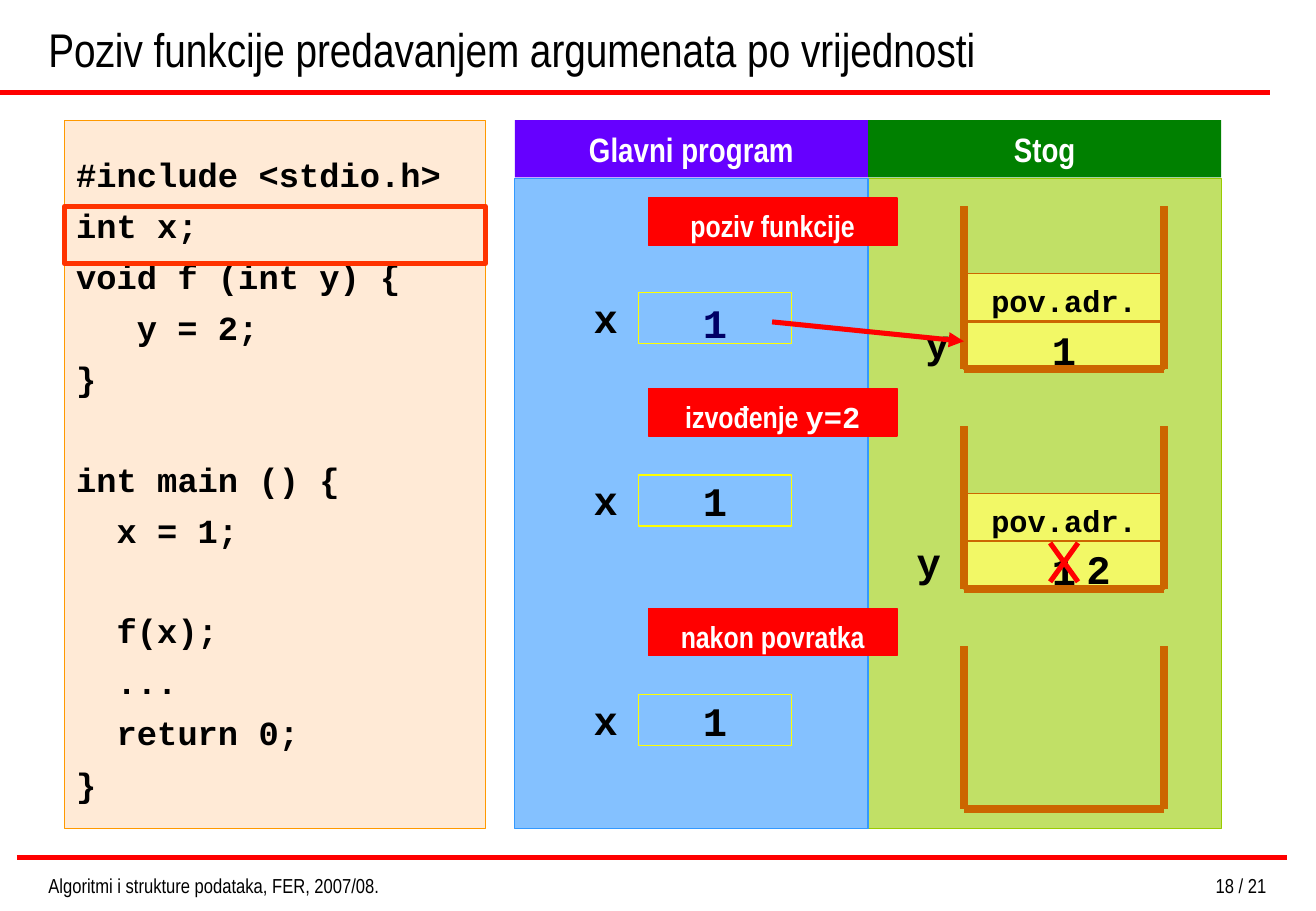
from dataclasses import dataclass

from lxml import etree
from pptx import Presentation
from pptx.dml.color import RGBColor
from pptx.enum.shapes import MSO_CONNECTOR, MSO_SHAPE
from pptx.enum.text import MSO_ANCHOR, PP_ALIGN
from pptx.oxml.ns import qn
from pptx.util import Inches, Pt

RECTANGLE = MSO_SHAPE.RECTANGLE
STRAIGHT = MSO_CONNECTOR.STRAIGHT
LEFT, CENTER, RIGHT = PP_ALIGN.LEFT, PP_ALIGN.CENTER, PP_ALIGN.RIGHT
TOP, MIDDLE, BOTTOM = MSO_ANCHOR.TOP, MSO_ANCHOR.MIDDLE, MSO_ANCHOR.BOTTOM


@dataclass(frozen=True)
class Theme:
    """Fonts, sizes and colours of the slide."""
    sans: str = "Arial Narrow"
    mono: str = "Courier New"
    title: int = 28
    value: int = 24
    body: int = 20
    label: int = 18
    footer: int = 12
    black: str = "000000"
    white: str = "FFFFFF"
    red: str = "FF0000"
    highlight: str = "FF3300"
    code_fill: str = "FFCC99"
    code_line: str = "FF9900"
    program: str = "3399FF"
    program_head: str = "6600FF"
    stack: str = "99CC00"
    stack_head: str = "008000"
    cell: str = "FFFF66"
    wall: str = "CC6600"
    variable: str = "FFFF00"
    navy: str = "000066"


THEME = Theme()

CODE = """#include <stdio.h>
int x;
void f (int y) {
\ty = 2;
}

int main () {
  x = 1;

  f(x);
  ...
  return 0;
}"""

STAGES = [
    dict(label=[("poziv funkcije", THEME.sans)], label_top=1.63,
         variable_top=2.41, color=THEME.navy, shift=0.06, name_left=7.54),
    dict(label=[("izvođenje ", THEME.sans), ("y=2", THEME.mono)],
         label_top=3.2, variable_top=3.91, color=THEME.black, shift=0,
         name_left=7.47),
    dict(label=[("nakon povratka", THEME.sans)], label_top=5.01,
         variable_top=5.72, color=THEME.black, shift=0, name_left=None),
]


def write(shape, spans, size=THEME.body, color=THEME.black, bold=True,
          align=CENTER, anchor=MIDDLE, inset=0.0, shift=0.0, gap=0):
    """Fill a shape with lines of text; spans is a string or (text, font) pairs."""
    frame = shape.text_frame
    frame.word_wrap = True
    frame.vertical_anchor = anchor
    frame.margin_left = frame.margin_right = Inches(inset)
    frame.margin_top = Inches(0.05 + shift)
    frame.margin_bottom = Inches(0.05)
    if isinstance(spans, str):
        spans = [(spans, THEME.mono)]
    para = frame.paragraphs[0]
    para.alignment = align
    for text, font in spans:
        blank = 0
        for index, line in enumerate(text.split("\n")):
            if not line.strip():
                blank += 1
                continue
            if index:
                para = frame.add_paragraph()
                para.alignment = align
                para.space_before = Pt(gap + blank * (gap + size * 1.133))
            blank = 0
            span = para.add_run()
            span.text = line
            span.font.name = font
            span.font.size = Pt(size)
            span.font.bold = bold
            span.font.color.rgb = RGBColor.from_string(color)


def add_text(page, box, spans, **style):
    """Add a text box."""
    write(page.shapes.add_textbox(*map(Inches, box)), spans, **style)


def add_box(page, box, fill=None, opacity=100, line=None, width=0.75):
    """Add a rectangle with optional fill and outline."""
    shape = page.shapes.add_shape(RECTANGLE, *map(Inches, box))
    shape.shadow.inherit = False
    if fill:
        shape.fill.solid()
        shape.fill.fore_color.rgb = RGBColor.from_string(fill)
        if opacity < 100:
            tint = shape.fill._xPr.find(qn("a:solidFill"))[0]
            etree.SubElement(tint, qn("a:alpha")).set("val", str(opacity * 1000))
    else:
        shape.fill.background()
    if line:
        shape.line.color.rgb = RGBColor.from_string(line)
        shape.line.width = Pt(width)
    else:
        shape.line.fill.background()
    return shape


def add_line(page, start, end, color=THEME.red, width=3, arrow=False):
    """Add a straight line, with an arrowhead at its end if asked."""
    line = page.shapes.add_connector(STRAIGHT, *map(Inches, (*start, *end)))
    line.line.color.rgb = RGBColor.from_string(color)
    line.line.width = Pt(width)
    if arrow:
        etree.SubElement(line.line._get_or_add_ln(), qn("a:tailEnd")).set("type", "triangle")
    etree.SubElement(line._element.spPr, qn("a:effectLst"))


def add_frame(page):
    """Add the title, the rules and the footer."""
    add_line(page, (0, 0.76), (10.46, 0.76))
    add_line(page, (0.14, 7.06), (10.6, 7.06))
    plain = dict(bold=False, inset=0.1)
    add_text(page, (0.3, 0, 10.16, 0.68),
             [("Poziv funkcije predavanjem argumenata po vrijednosti", THEME.sans)],
             size=THEME.title, align=LEFT, anchor=BOTTOM, **plain)
    add_text(page, (0.3, 7.14, 3.78, 0.24),
             [("Algoritmi i strukture podataka, FER, 2007/08.", THEME.sans)],
             size=THEME.footer, align=LEFT, anchor=TOP, **plain)
    add_text(page, (7.76, 7.14, 2.77, 0.24), [("18 / 21", THEME.sans)],
             size=THEME.footer, align=RIGHT, anchor=TOP, **plain)


def add_code(page, box):
    """Add the code listing and the highlight around its second line."""
    left, top, width, height = box
    listing = add_box(page, box, THEME.code_fill, 40, THEME.code_line)
    write(listing, CODE, align=LEFT, inset=0.1, shift=0.07, gap=6.35)
    add_box(page, (left, top + 0.71, width, 0.47), line=THEME.highlight, width=3)


def add_column(page, box, heading, head_color, color):
    """Add a column with a heading bar."""
    left, top, width, height = box
    add_box(page, (left, top + 0.48, width, height - 0.48), color, 60, color)
    head = add_box(page, (left, top, width, 0.47), head_color)
    write(head, [(heading, THEME.sans)], color=THEME.white)


def add_variable(page, box, stage):
    """Add the variable x of the main program and the red stage label."""
    left, top, width, height = box
    add_text(page, (left - 0.45, top + 0.04, 0.36, 0.33), "x", size=THEME.value)
    value = add_box(page, box, line=THEME.variable)
    write(value, "1", size=THEME.value, color=stage["color"], shift=stage["shift"])
    label = add_box(page, (left + 0.08, stage["label_top"], 2.05, 0.39),
                    THEME.red, line=THEME.red)
    write(label, stage["label"], size=THEME.label, color=THEME.white, shift=0.06)


def add_stack(page, box, name_left):
    """Add a stack, holding the return address and y when y has a place."""
    left, top, width, height = box
    right, bottom = left + width, top + height
    if name_left is not None:
        cells = (("1", THEME.value, bottom - 0.39), ("pov.adr.", THEME.label, bottom - 0.79))
        for text, size, cell_top in cells:
            cell = add_box(page, (left, cell_top, width, 0.39), THEME.cell, 80, THEME.wall)
            write(cell, text, size=size, shift=0.06)
        add_text(page, (name_left, bottom - 0.39, 0.36, 0.33), "y", size=THEME.value)
    corners = [(left, top), (left, bottom), (right, bottom), (right, top)]
    for start, end in zip(corners, corners[1:]):
        add_line(page, start, end, THEME.wall, 4.5)


def add_change(page, box):
    """Cross out the old value and write the new one beside it."""
    left, top, width, height = box
    right, bottom = left + width, top + height
    add_line(page, (left, bottom), (right, top))
    add_line(page, (left, top), (right, bottom))
    add_text(page, (right - 0.03, top - 0.06, 0.4, 0.5), "2",
             size=THEME.value, shift=0.04)


def main():
    """Build the slide and save it."""
    deck = Presentation()
    deck.slide_width, deck.slide_height = Inches(10.84), Inches(7.5)
    page = deck.slides.add_slide(deck.slide_layouts[6])
    add_frame(page)
    add_column(page, (7.15, 0.99, 2.91, 5.83), "Stog", THEME.stack_head, THEME.stack)
    add_column(page, (4.24, 0.99, 2.91, 5.83), "Glavni program",
               THEME.program_head, THEME.program)
    add_code(page, (0.53, 0.99, 3.47, 5.83))
    for index, stage in enumerate(STAGES):
        add_variable(page, (5.26, stage["variable_top"], 1.26, 0.42), stage)
        add_stack(page, (7.94, 1.7 + 1.81 * index, 1.65, 1.34), stage["name_left"])
    add_line(page, (6.36, 2.65), (7.94, 2.81), arrow=True)
    add_change(page, (8.65, 4.47, 0.23, 0.32))
    deck.save("out.pptx")


if __name__ == "__main__":
    main()
